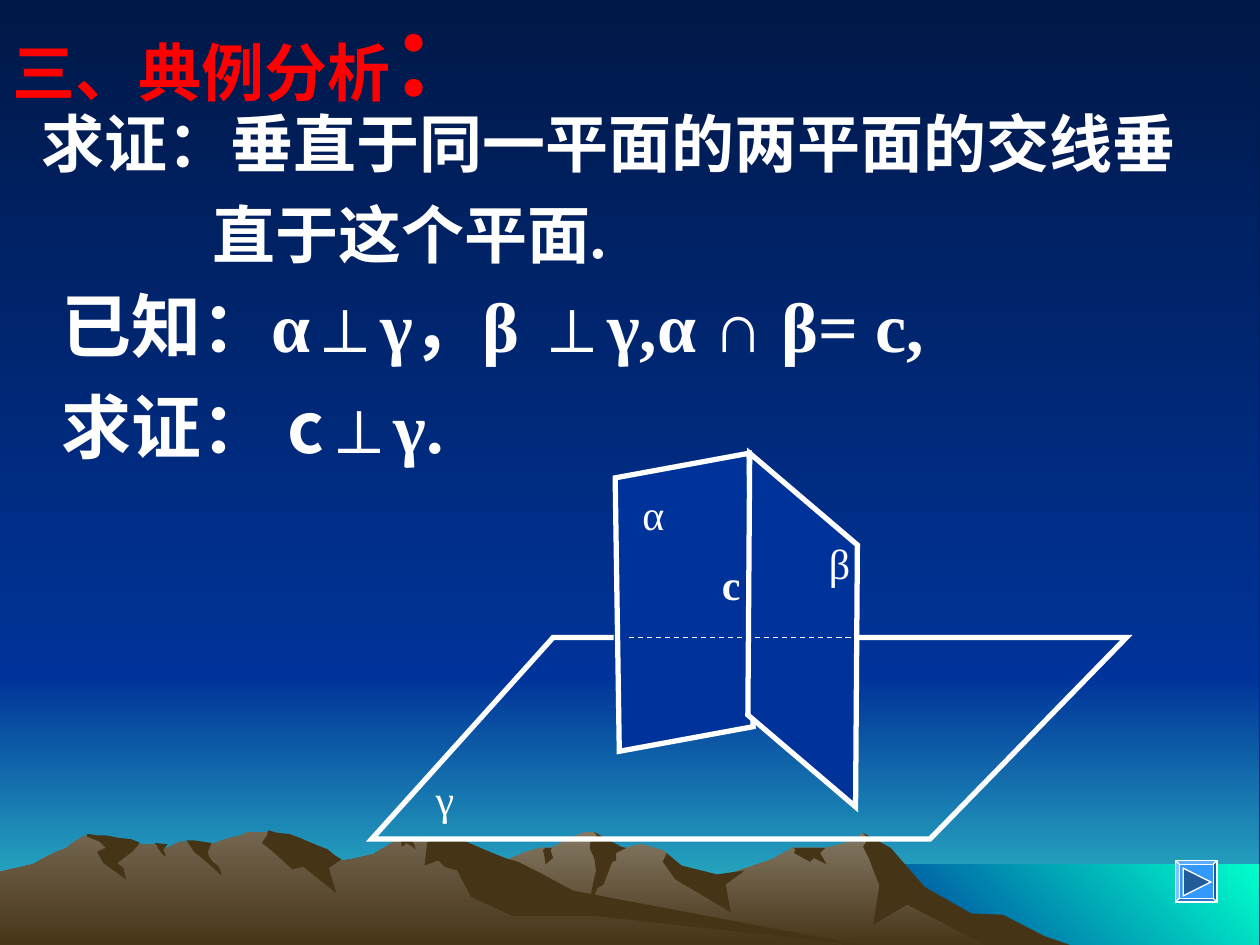
from pptx import Presentation
from pptx.dml.color import RGBColor
from pptx.enum.dml import MSO_LINE
from pptx.enum.shapes import MSO_CONNECTOR, MSO_SHAPE
from pptx.enum.text import MSO_ANCHOR
from pptx.oxml.ns import qn
from pptx.util import Inches, Pt

COLORS = {
    "night": "001847", "blue": "003399", "horizon": "33CCCC", "sea": "00FFCC",
    "far_rock": "847864", "near_rock": "73654F", "rock_shade": "463416",
    "button": "3399FF", "arrow": "1F5C99", "white": "FFFFFF", "red": "FF0000",
}
SERIF, SANS, CHINESE = "Times New Roman", "Arial", "Noto Sans CJK SC"

FAR_RANGE = """8.02 7.41 7.78 7.28 7.63 7.25 7.23 6.99 7.01 6.73 6.85 6.61 6.75 6.68 6.56 6.73
    6.29 6.73 6.13 6.82 5.66 6.98 5.36 6.91 5.29 6.77 5.26 6.75 5.09 6.7 4.97 6.73 4.85 6.75
    4.74 6.62 4.71 6.6 4.65 6.6 4.5 6.66 4.38 6.73 4.29 6.73 4.18 6.76 4.04 6.82 3.94 6.87
    3.55 6.99 3.27 7.11 2.77 7.4 2.58 7.53 8.21 7.53"""
FAR_SHADES = (
    """7.96 7.26 7.71 7.25 7.34 7.04 7.07 6.73 6.85 6.61 6.89 6.66 6.85 6.72 6.9 6.82 6.98 7.03
    6.93 7.34 7.2 7.18 7.88 7.53 8.58 7.53 8.29 7.43""",
    """4.71 6.6 4.74 6.63 4.69 6.66 4.68 6.73 4.72 6.82 4.73 6.91 4.65 7.28 4.74 7.05 4.79 7.02
    4.86 6.84 4.89 6.83 4.89 6.77 4.97 6.73 4.93 6.72""",
    """5.29 6.77 5.28 6.8 5.26 6.84 5.36 6.98 5.8 7.24 5.76 7.02 5.91 6.91 5.69 6.94 5.41 6.87""",
    """6.49 6.73 6.3 6.73 6.31 6.74 6.31 6.76 6.3 6.77 6.43 6.84 6.46 6.81 6.56 6.86 6.51 6.77
    6.55 6.73""",
    """4.32 6.79 4.31 6.75 4.33 6.73 4.38 6.73 4.39 6.71 4.37 6.75 4.39 6.81 4.33 6.86""",
)
NEAR_RANGE = """6.9 7.53 6.67 7.5 4.32 7.14 3.54 6.66 3.31 6.64 3.27 6.69 3.23 6.69 3.18 6.65
    2.96 6.78 2.79 6.82 2.71 6.83 2.59 6.78 2.35 6.82 2.23 6.64 2.19 6.62 2.12 6.6 1.97 6.6
    1.91 6.63 1.82 6.65 1.68 6.7 1.6 6.73 1.48 6.68 1.43 6.68 1.32 6.73 1.27 6.73 1.22 6.7
    1.11 6.7 0.94 6.73 0.67 6.63 0.56 6.7 0.53 6.73 0.45 6.76 0.35 6.81 0.26 6.86 0.13 6.89
    0 6.92 0 7.53"""
NEAR_SHADES = (
    """2.12 6.63 2.08 6.69 2.19 6.78 2.32 6.9 2.41 6.88 2.67 7.09 2.61 6.89 2.71 6.82 2.66 6.79
    2.6 6.74 2.52 6.71 2.38 6.65 2.3 6.62 2.2 6.61 2.13 6.59""",
    """3.7 6.68 3.61 6.66 3.54 6.65 3.44 6.65 3.39 6.69 3.37 6.87 3.48 6.83 3.53 6.88 3.63 6.91
    3.74 7.12 4.07 7.27 4.72 7.27 6.9 7.51 6.83 7.5 4.55 7.07 4.27 6.92 4.11 6.84 4.01 6.81
    3.86 6.75""",
    """3.18 6.67 3.2 6.66 3.18 6.64 3.23 6.67 3.27 6.67 3.29 6.71 3.3 6.74 3.26 6.71 3.22 6.69
    3.21 6.71 3.19 6.72""",
    """1.54 6.67 1.61 6.68 1.68 6.69 1.65 6.76 1.66 6.8 1.69 6.84 1.73 6.87 1.75 6.91 1.76 6.95
    1.65 6.85 1.54 6.76 1.48 6.67""",
    """1.33 6.7 1.3 6.74 1.3 6.75 1.32 6.8 1.29 6.78 1.26 6.74 1.23 6.69""",
    """1.09 6.68 1.11 6.69 1.05 6.76 0.93 6.85 0.98 6.89 1 6.98 0.82 6.85 0.77 6.76 0.84 6.73
    0.79 6.68 0.69 6.64 0.69 6.62 0.71 6.62 0.77 6.63 0.84 6.63 0.94 6.65 1.04 6.66""",
)


def color(name):
    """Return the named colour."""
    return RGBColor.from_string(COLORS[name])


class SlideBuilder:
    """Hold the style and the current slide."""

    def __init__(self, page):
        """Start on the given page."""
        self.page = page

    def paint(self, fill, paints, angle=270):
        """Fill with nothing, one colour or a gradient of two."""
        if not paints:
            fill.background()
        elif len(paints) == 1:
            fill.solid()
            fill.fore_color.rgb = color(paints[0])
        else:
            fill.gradient()
            fill.gradient_angle = angle
            for stop, name, position in zip(fill.gradient_stops, paints, (0, 1)):
                stop.color.rgb = color(name)
                stop.position = position

    def finish(self, shape, paints, line, angle=270):
        """Set shadow, fill and white sharp-cornered outline of a shape."""
        shape.shadow.inherit = False
        self.paint(shape.fill, paints, angle)
        if line:
            shape.line.color.rgb = color("white")
            shape.line.width = Pt(line)
            edge = shape._element.spPr.get_or_add_ln()
            edge.append(edge.makeelement(qn("a:miter"), {"lim": "800000"}))
        else:
            shape.line.fill.background()

    def outline(self, points, *paints, line=0, angle=270, close=True):
        """Draw a freeform through points given in inches."""
        numbers = [Inches(float(number)) for number in points.split()]
        corners = list(zip(numbers[::2], numbers[1::2]))
        builder = self.page.shapes.build_freeform(*corners[0])
        builder.add_line_segments(corners[1:], close=close)
        self.finish(builder.convert_to_shape(), paints, line, angle)

    def preset(self, kind, place, adjustment, paint, line, rotation=0):
        """Draw a preset shape."""
        shape = self.page.shapes.add_shape(kind, *map(Inches, place))
        shape.adjustments[0] = adjustment
        shape.rotation = rotation
        self.finish(shape, [paint], line)

    def dashed_line(self, *ends):
        """Draw a thin dashed line."""
        line = self.page.shapes.add_connector(MSO_CONNECTOR.STRAIGHT, *map(Inches, ends))
        line.line.color.rgb = color("white")
        line.line.width = Pt(0.75)
        line.line.dash_style = MSO_LINE.DASH
        properties = line._element.spPr
        properties.append(properties.makeelement(qn("a:effectLst"), {}))

    def text(self, place, paragraphs, paint="white", bold=True, gap=0, indent=0,
             anchor=MSO_ANCHOR.TOP):
        """Write paragraphs of (text, size, font) runs, indenting the later ones."""
        box = self.page.shapes.add_textbox(*map(Inches, place))
        frame = box.text_frame
        frame.word_wrap = True
        frame.vertical_anchor = anchor
        for index, runs in enumerate(paragraphs):
            para = frame.add_paragraph() if index else frame.paragraphs[0]
            if index:
                para.space_before = Pt(gap)
                para._p.get_or_add_pPr().set("marL", str(Inches(indent)))
            for words, size, font in runs:
                span = para.add_run()
                span.text = words
                span.font.size = Pt(size)
                span.font.name = font
                span.font.bold = bold
                span.font.color.rgb = color(paint)
                properties = span.font._element
                properties.append(properties.makeelement(qn("a:ea"), {"typeface": CHINESE}))


def draw_landscape(slide):
    """Draw the sky, the sea and the mountains."""
    slide.paint(slide.page.background.fill, ["night", "blue"])
    slide.outline("9.99 7.52 -0.01 7.52 -0.01 5.36 9.99 5.36", "blue", "horizon")
    slide.outline("9.99 5.36 -0.01 5.36 -0.01 0.02 9.99 0.02", "night", "blue")
    slide.outline("9.99 7.52 6.83 7.52 6.83 6.86 9.99 6.86", "blue", "sea", angle=45)
    for ridge, rock, shades in ((FAR_RANGE, "far_rock", FAR_SHADES),
                                (NEAR_RANGE, "near_rock", NEAR_SHADES)):
        slide.outline(ridge, rock, "rock_shade")
        for shade in shades:
            slide.outline(shade, "rock_shade")


def draw_planes(slide):
    """Draw the three planes and their labels."""
    plane = MSO_SHAPE.PARALLELOGRAM
    slide.preset(plane, (4.71, 3.71, 1.44, 2.14), 0.25, "blue", 3, 349.6)
    slide.preset(plane, (4.97, 4.57, 2.8, 0.86), 0.84, "blue", 3, 90.4)
    slide.outline("4.87 5.06 4.39 5.06 2.95 6.66 7.38 6.66 8.94 5.06 6.78 5.06",
                  line=3, close=False)
    slide.dashed_line(4.99, 5.06, 6.9, 5.06)
    for label, left, top, width in (("γ", 3.36, 6.09, 0.72), ("α", 5, 3.83, 0.72),
                                    ("β", 6.48, 4.22, 0.6), ("c", 5.63, 4.38, 0.48)):
        slide.text((left, top, width, 0.5), [[(label, 24, SERIF)]], bold=label == "c")


def main():
    """Build the deck."""
    deck = Presentation()
    deck.slide_width, deck.slide_height = Inches(10), Inches(7.5)
    slide = SlideBuilder(deck.slides.add_slide(deck.slide_layouts[6]))
    draw_landscape(slide)
    slide.text((0.23, 0.78, 9.33, 2.34), [
        [("求证：垂直于同一平面的两平面的交线垂", 36, SERIF)],
        [("直于这个平面.", 36, SERIF)],
    ], gap=9, indent=1.36)
    slide.preset(MSO_SHAPE.BEVEL, (9.33, 6.83, 0.33, 0.33), 0.09, "button", 0.75)
    slide.outline("9.39 6.89 9.61 7 9.39 7.11", "arrow", line=0.75)
    draw_planes(slide)
    slide.text((0.39, 2.19, 9.4, 2.24), [
        [("已知：α⊥γ，β ⊥γ,α ∩ β= c,", 40, SERIF)],
        [("求证： ", 40, SERIF), ("c", 40, CHINESE), ("⊥γ.", 40, SERIF)],
    ], gap=10)
    slide.text((0, -0.16, 9, 1.25), [[("三、典例分析", 36, SANS), ("：", 54, SANS)]],
               paint="red", anchor=MSO_ANCHOR.MIDDLE)
    deck.save("out.pptx")


if __name__ == "__main__":
    main()
